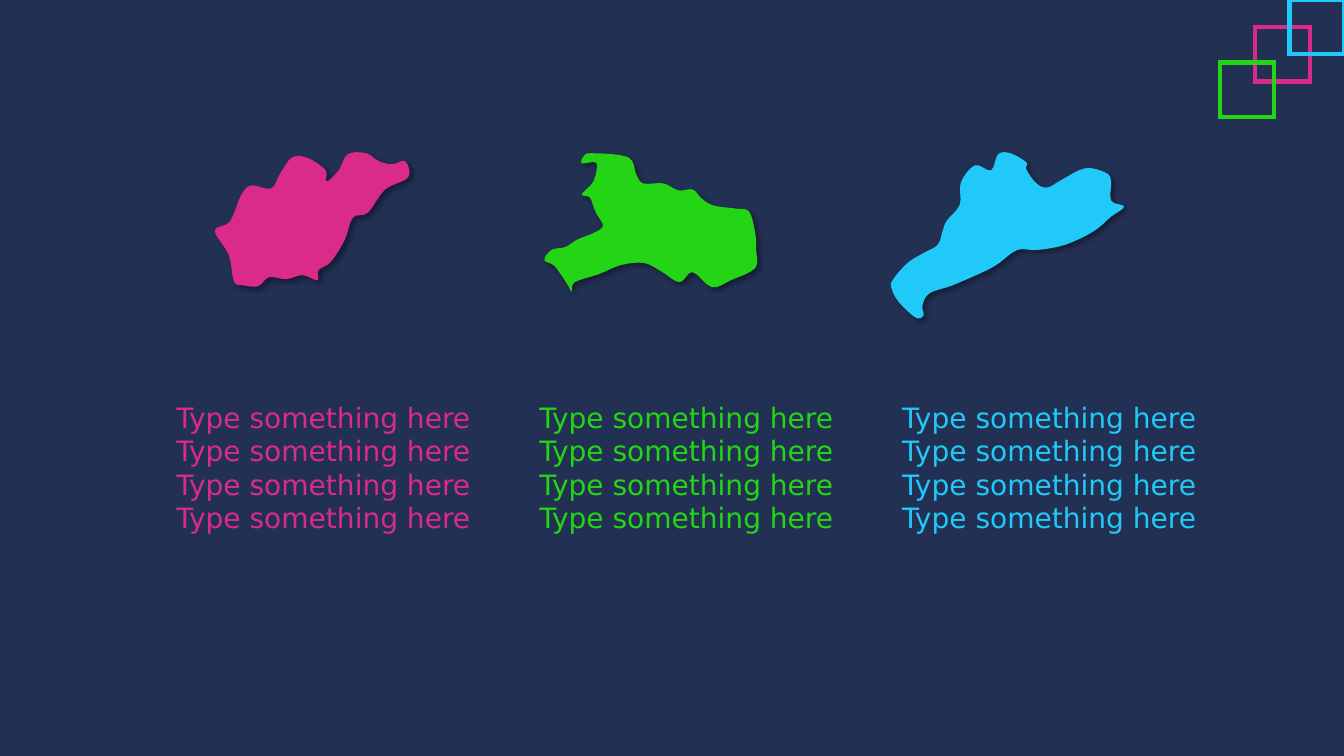
from dataclasses import dataclass
from lxml.etree import SubElement
from pptx import Presentation
from pptx.dml.color import RGBColor
from pptx.enum.shapes import MSO_SHAPE as SHAPE
from pptx.oxml.ns import qn
from pptx.util import Inches, Pt

NAVY = RGBColor(0x22, 0x30, 0x54)
PINK = RGBColor(0xDA, 0x2B, 0x89)
GREEN = RGBColor(0x23, 0xD5, 0x15)
BLUE = RGBColor(0x20, 0xC9, 0xF8)

FONT = "DejaVu Sans"
LINE_TEXT = "Type something here"
LINE_COUNT = 4

REGION_TOP = 1.52
UNITS_PER_INCH = 100
CURVE_STEPS = 4

CAPTION_LEFT, CAPTION_TOP = 1.65, 3.92
CAPTION_WIDTH, CAPTION_HEIGHT = 3.35, 1.78
COLUMN_PITCH = 3.6

SQUARE_SIZE = 0.54


@dataclass
class Region:
    color: RGBColor
    left: float
    landmarks: list


REGIONS = [
    Region(PINK, 2.13, [
        (150, 0), (163, 8), (176, 11), (189, 8), (192, 24), (169, 36), (152, 59), (137, 64),
        (129, 86), (115, 108), (103, 116), (102, 126), (87, 121), (71, 125), (54, 123),
        (43, 132), (28, 131), (19, 127), (14, 101), (0, 77), (15, 68), (26, 42), (36, 32),
        (56, 35), (65, 20), (77, 4), (93, 5), (110, 17), (111, 28), (123, 17), (132, 1)]),
    Region(GREEN, 5.4, [
        (47, 0), (83, 4), (91, 21), (98, 30), (118, 30), (133, 37), (147, 36), (156, 45),
        (168, 52), (190, 55), (203, 58), (209, 79), (210, 96), (209, 114), (185, 126),
        (166, 133), (147, 118), (134, 128), (117, 118), (99, 109), (76, 111), (54, 120),
        (30, 128), (27, 137), (22, 129), (10, 112), (0, 106), (7, 96), (21, 93), (32, 86),
        (49, 79), (58, 72), (51, 59), (45, 44), (37, 41), (48, 29), (52, 15), (50, 9),
        (37, 10), (39, 3)]),
    Region(BLUE, 8.84, [
        (118, 0), (134, 9), (134, 16), (144, 30), (155, 34), (168, 27), (192, 15), (212, 19),
        (218, 27), (218, 47), (231, 53), (218, 63), (200, 78), (172, 91), (145, 96),
        (125, 96), (107, 109), (93, 117), (61, 131), (38, 139), (31, 151), (32, 161),
        (24, 163), (7, 147), (0, 133), (2, 125), (16, 109), (32, 99), (46, 91), (51, 77),
        (55, 67), (68, 51), (69, 29), (83, 12), (99, 17), (106, 1)]),
]


def spline(before, start, end, after, t):
    return (start + (end - before) * t / 2
            + (2 * before - 5 * start + 4 * end - after) * t ** 2 / 2
            + (3 * start - before - 3 * end + after) * t ** 3 / 2)


def smooth_outline(landmarks):
    count = len(landmarks)
    outline = []
    for i in range(count):
        neighbours = [landmarks[(i + k) % count] for k in (-1, 0, 1, 2)]
        xs, ys = zip(*neighbours)
        for step in range(CURVE_STEPS):
            t = step / CURVE_STEPS
            outline.append((spline(*xs, t), spline(*ys, t)))
    return outline


def add_shadow(sp):
    sp.shadow.inherit = False
    effects = sp._element.spPr.find(qn("a:effectLst"))
    shadow = SubElement(effects, qn("a:outerShdw"), blurRad=str(Pt(4)), dist=str(Pt(3)),
                        dir=str(45 * 60000), algn="tl", rotWithShape="0")
    black = SubElement(shadow, qn("a:srgbClr"), val="000000")
    SubElement(black, qn("a:alpha"), val="40000")


def add_region(s, region):
    unit = Inches(1) // UNITS_PER_INCH
    points = [(round(Inches(region.left) + x * unit), round(Inches(REGION_TOP) + y * unit))
              for x, y in smooth_outline(region.landmarks)]
    builder = s.shapes.build_freeform(*points[0])
    builder.add_line_segments(points[1:], close=True)
    sp = builder.convert_to_shape()
    sp.fill.solid()
    sp.fill.fore_color.rgb = region.color
    sp.line.fill.background()
    add_shadow(sp)


def add_caption(s, column, color):
    left = CAPTION_LEFT + column * COLUMN_PITCH
    sp = s.shapes.add_textbox(Inches(left), Inches(CAPTION_TOP),
                              Inches(CAPTION_WIDTH), Inches(CAPTION_HEIGHT))
    tf = sp.text_frame
    tf.word_wrap = True
    for i in range(LINE_COUNT):
        p = tf.add_paragraph() if i else tf.paragraphs[0]
        r = p.add_run()
        r.text = LINE_TEXT
        r.font.name = FONT
        r.font.size = Pt(20)
        r.font.color.rgb = color


def add_square(group, left, top, color):
    sp = group.shapes.add_shape(SHAPE.RECTANGLE, Inches(left), Inches(top),
                                Inches(SQUARE_SIZE), Inches(SQUARE_SIZE))
    sp.shadow.inherit = False
    sp.fill.background()
    sp.line.color.rgb = color
    sp.line.width = Pt(3)
    SubElement(sp.line._get_or_add_ln(), qn("a:miter"), lim="800000")


def add_corner_squares(s):
    group = s.shapes.add_group_shape()
    for left, top, color in [(12.45, 0.27, PINK), (12.79, 0, BLUE), (12.1, 0.62, GREEN)]:
        add_square(group, left, top, color)


def main():
    prs = Presentation()
    prs.slide_width, prs.slide_height = Inches(13.33), Inches(7.5)
    s = prs.slides.add_slide(prs.slide_layouts[6])
    s.background.fill.solid()
    s.background.fill.fore_color.rgb = NAVY

    for region in REGIONS:
        add_region(s, region)
    for column, region in enumerate(REGIONS):
        add_caption(s, column, region.color)
    add_corner_squares(s)

    prs.save("out.pptx")


main()
